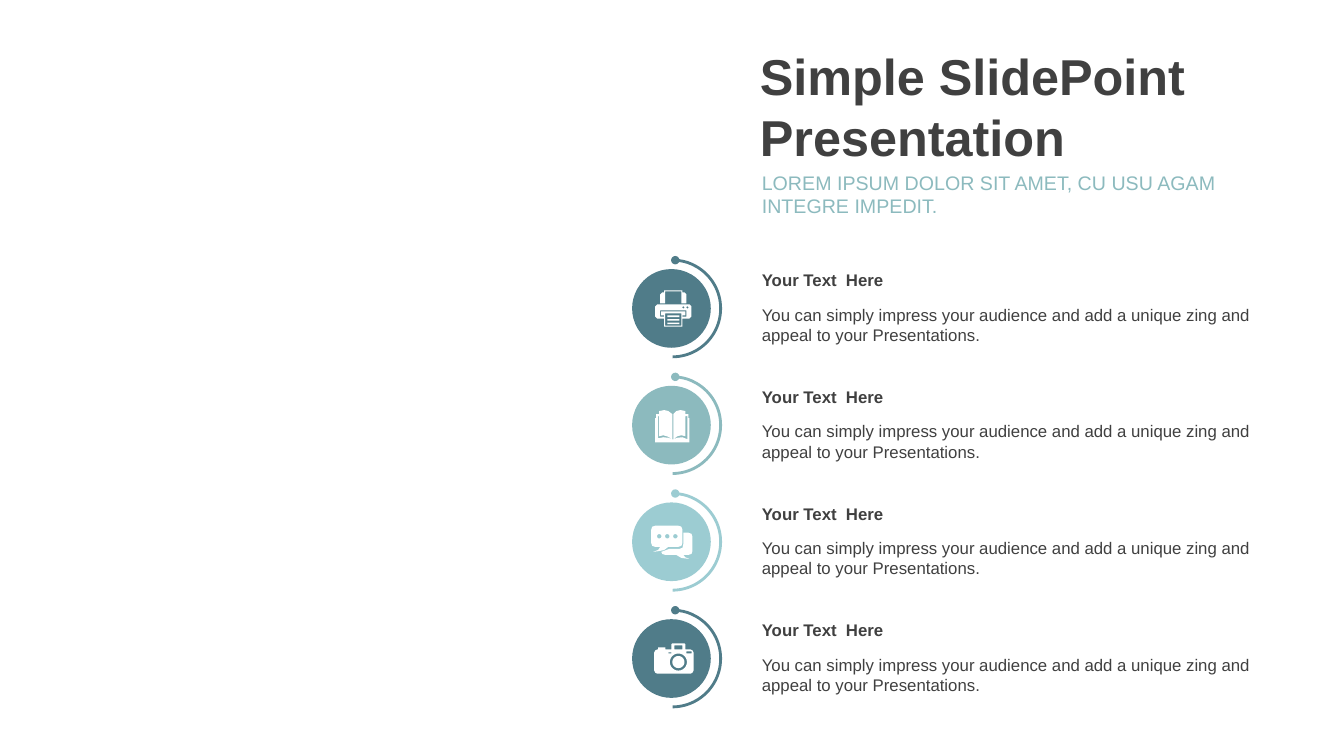
import math
import pptx
import pptx.util
import pptx.dml.color
import pptx.enum.shapes
import pptx.enum.text

Pt = pptx.util.Pt
SHAPE = pptx.enum.shapes.MSO_SHAPE
ANCHOR = pptx.enum.text.MSO_ANCHOR


def paint(format, code):
    """Give a fill or a font a solid colour."""
    fill = format if hasattr(format, "solid") else format.fill
    fill.solid()
    fill.fore_color.rgb = pptx.dml.color.RGBColor.from_string(code)


def box(left, top, right, bottom, r=0):
    """Outline of a box with corners of radius r; a full radius makes a circle."""
    if not r:
        return [(left, top), (right, top), (right, bottom), (left, bottom)]
    hubs = [(right - r, bottom - r), (left + r, bottom - r),
            (left + r, top + r), (right - r, top + r)]
    return [(x + r * math.cos(math.radians(90 * turn + step)),
             y + r * math.sin(math.radians(90 * turn + step)))
            for turn, (x, y) in enumerate(hubs) for step in range(0, 91, 15)]


# Icon outlines, in steps of 0.72 pt from the corner of the arc
printer = [
    [(33, 44), (65, 44), (67, 46), (67, 56), (65, 58), (58, 58), (58, 66),
     (40, 66), (40, 58), (33, 58), (31, 56), (31, 46)],
    [(40, 30), (58, 30), (58, 32), (60, 32), (62, 34), (62, 43), (57, 43),
     (57, 31), (41, 31), (41, 43), (36, 43), (36, 34), (38, 32), (40, 32)],
    [(36, 50), (62, 50), (62, 56), (58, 56), (58, 55), (61, 55), (61, 51),
     (37, 51), (37, 55), (40, 55), (40, 56), (36, 56)],
    box(41, 53, 57, 65),
    *[box(43, y, 55, y + 1.5) for y in (55, 58.5, 62)],
    *[box(x, 46, x + 2, 48, 1) for x in (58, 62)],
]
book = [
    [(48, 62), (49, 62), (53, 60.5), (58, 60), (63, 62), (63, 39), (61, 39),
     (61, 59), (57, 58), (53, 59), (49, 62), (49, 37), (52, 34), (56, 33),
     (61, 34), (61, 37), (64, 37), (64, 41), (65, 41), (65, 65), (31, 65),
     (31, 41), (32, 41), (32, 37), (35, 37), (35, 34), (40, 33), (44, 34),
     (48, 37), (48, 62), (44, 59.5), (39, 58), (35, 59), (35, 39), (34, 39),
     (34, 61), (39, 60), (44, 60.5)],
]
chat = [
    [(31, 32), (54, 32), (57, 33), (58, 36), (58, 49), (57, 52), (54, 53),
     (44, 53), (40, 56), (36, 57), (29, 58), (34, 56), (36, 53), (31, 53),
     (28, 52), (27, 49), (27, 36), (28, 33)],
    [(59, 39), (64, 39), (67, 40), (68, 43), (68, 57), (67, 60), (64, 61),
     (59, 61), (61, 63.5), (65, 65), (57, 64), (52, 61), (41, 61), (38, 60),
     (37, 58), (45, 55), (55, 55), (58, 54), (59, 50)],
    *[box(x - 2.2, 40.3, x + 2.2, 44.7, 2.2) for x in (35, 43, 51)],
]
camera = [
    [(48, 33), (60, 33), (61, 34), (61, 39), (66, 39), (68, 40), (69, 42),
     (69, 60), (68, 62), (66, 63), (33, 63), (31, 62), (30, 60), (30, 42),
     (31, 40), (33, 39), (34, 39), (34, 37), (41, 37), (41, 39), (47, 39),
     (47, 34)],
    box(45.5, 43, 62.5, 60, 8.5),
    box(48, 45.5, 60, 57.5, 6),
    box(44, 42, 47, 43),
    box(62, 41, 67, 43),
    box(50, 35, 58, 39),
]

deck = pptx.Presentation()
deck.slide_width, deck.slide_height = Pt(960), Pt(540)
slide = deck.slides.add_slide(deck.slide_layouts[6])
shapes = slide.shapes

# Title and subtitle: text, left, top, height, size, bold, colour, anchor
texts = [
    ("Simple SlidePoint Presentation", 535.7, 28.8, 94.3, 36, True, "404040", ANCHOR.TOP),
    ("LOREM IPSUM DOLOR SIT AMET, CU USU AGAM INTEGRE IMPEDIT.",
     537.1, 118.1, 41, 14, False, "8CBABE", ANCHOR.MIDDLE),
]

# Four rows: arc, disc and icon
rows = [("507C89", printer), ("8CBABE", book), ("9CCCD2", chat), ("507C89", camera)]
side = 445.7
for i, (code, icon) in enumerate(rows):
    top = 185.8 + 83.35 * i

    arc = shapes.add_shape(SHAPE.ARC, Pt(side), Pt(top), Pt(69.1), Pt(69.1))
    arc.adjustments[0], arc.adjustments[1] = 164.14, 53.74
    arc.shadow.inherit = False
    arc.fill.background()
    paint(arc.line, code)
    arc.line.width = Pt(2)
    head = pptx.oxml.parse_xml(
        '<a:headEnd xmlns:a="http://schemas.openxmlformats.org/drawingml/2006/main" type="oval"/>')
    arc.line._get_or_add_ln().append(head)

    disc = shapes.add_shape(SHAPE.OVAL, Pt(side + 5.8), Pt(top + 6.4), Pt(56.2), Pt(56.2))
    disc.shadow.inherit = False
    paint(disc.fill, code)
    disc.line.fill.background()

    pen = None
    for outline in icon:
        first, *rest = [(x * 100, y * 100) for x, y in outline]
        if pen is None:
            pen = shapes.build_freeform(*first, scale=Pt(0.72) / 100)
        else:
            pen.move_to(*first)
        pen.add_line_segments(rest, close=True)
    sign = pen.convert_to_shape(Pt(side), Pt(top))
    sign.shadow.inherit = False
    paint(sign.fill, "FFFFFF")
    sign.line.fill.background()

    texts += [
        ("Your Text  Here", 537.1, top + 3.6, 21.6, 12, True, "404040", ANCHOR.TOP),
        ("You can simply impress your audience and add a unique zing and appeal to your Presentations.",
         537.1, top + 28.1, 36.7, 12, False, "404040", ANCHOR.TOP),
    ]

# All text
for words, left, top, height, size, bold, code, anchor in texts:
    frame = shapes.add_textbox(Pt(left), Pt(top), Pt(369), Pt(height)).text_frame
    frame.word_wrap = True
    frame.vertical_anchor = anchor
    line = frame.paragraphs[0]
    line.text = words
    line.font.name = "Arial"
    line.font.size = Pt(size)
    line.font.bold = bold
    paint(line.font, code)

deck.save("out.pptx")
